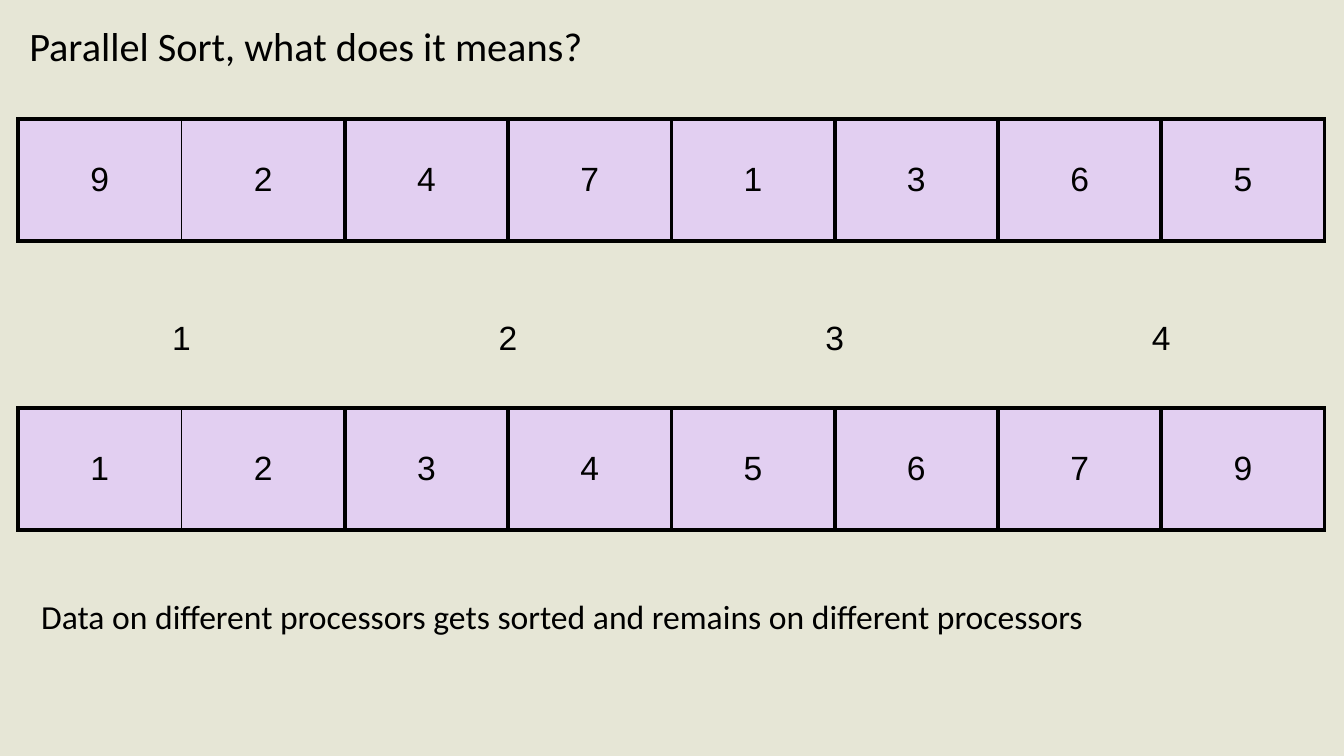
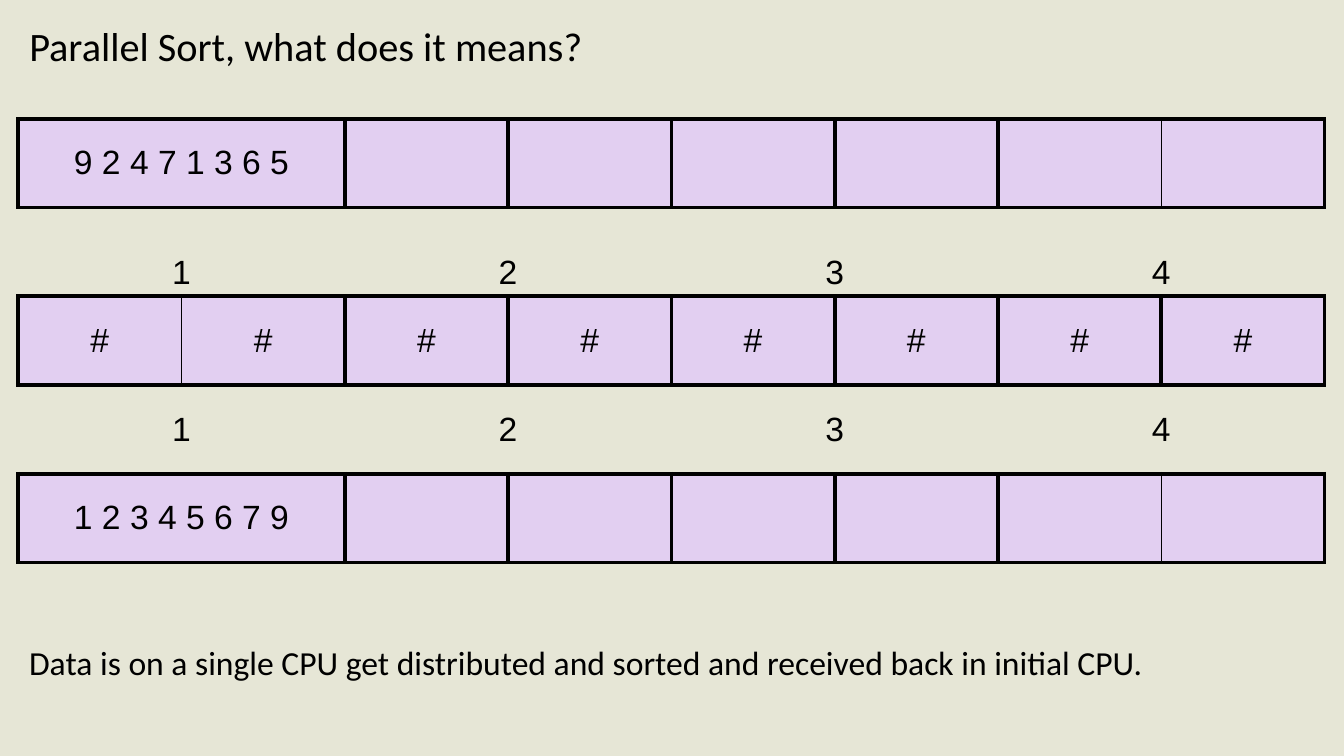
from dataclasses import dataclass

from lxml.etree import SubElement
from pptx import Presentation
from pptx.dml.color import RGBColor
from pptx.enum.text import MSO_ANCHOR, MSO_AUTO_SIZE, PP_ALIGN
from pptx.oxml.ns import qn
from pptx.util import Pt

EMU_PER_PX = 9144
SLIDE_SIZE = (1333, 750)
COLUMN_COUNT = 8
COLUMN_WIDTH = 162
TABLE_LEFT, TABLE_TOP = 18, 118
THICK, THIN = 3, 1

BACKGROUND = RGBColor(0xE6, 0xE6, 0xD6)
LILAC = RGBColor(0xE2, 0xCF, 0xF1)
BLACK = RGBColor(0, 0, 0)

TITLE_FONT = {"name": "Calibri", "size": Pt(28.8)}
CAPTION_FONT = {"name": "Calibri", "size": Pt(24)}
CELL_FONT = {"name": "Arial", "size": Pt(24)}

TITLE = "Parallel Sort, what does it means?"


def px(length):
    return length * EMU_PER_PX


@dataclass
class Row:
    """A table row; thin_edge is the column boundary drawn with a fine line."""
    texts: tuple
    height: int
    spans: tuple = (1,) * COLUMN_COUNT
    is_data: bool = True
    anchor: MSO_ANCHOR = MSO_ANCHOR.MIDDLE
    thin_edge: int = 1


def processor_row(height, anchor):
    return Row(("1", "2", "3", "4"), height, (2,) * 4, False, anchor)


def single_processor_row(text, height):
    """A row whose first processor holds all the data."""
    return Row((text,) + ("",) * 6, height, (2,) + (1,) * 6, thin_edge=7)


class Deck:
    def __init__(self):
        self.presentation = Presentation()
        self.presentation.slide_width, self.presentation.slide_height = map(px, SLIDE_SIZE)
        background = self.presentation.slide_master.background.fill
        background.solid()
        background.fore_color.rgb = BACKGROUND
        self.slide = None

    def add_slide(self, title):
        layout = self.presentation.slide_layouts.get_by_name("Title Only")
        self.slide = self.presentation.slides.add_slide(layout)
        shape = self.slide.shapes.title
        shape.left, shape.top, shape.width, shape.height = map(px, (19, 20, 1296, 57))
        self.set_text(shape.text_frame, title, TITLE_FONT, line_spacing=0.9)
        frame_format = {"word_wrap": True, "auto_size": MSO_AUTO_SIZE.NONE,
                        "vertical_anchor": MSO_ANCHOR.MIDDLE}
        for name, value in frame_format.items():
            setattr(shape.text_frame, name, value)

    def set_text(self, frame, text, font_format, **paragraph_format):
        paragraph = frame.paragraphs[0]
        for name, value in ({"alignment": PP_ALIGN.LEFT} | paragraph_format).items():
            setattr(paragraph, name, value)
        run = paragraph.add_run()
        run.text = text
        for name, value in font_format.items():
            setattr(run.font, name, value)
        run.font.color.rgb = BLACK

    def add_caption(self, text, left, top):
        box = self.slide.shapes.add_textbox(*map(px, (left, top, 1231, 50)))
        box.text_frame.word_wrap = True
        self.set_text(box.text_frame, text, CAPTION_FONT)

    def add_table(self, rows):
        width, height = COLUMN_COUNT * COLUMN_WIDTH, sum(row.height for row in rows)
        frame = self.slide.shapes.add_table(
            len(rows), COLUMN_COUNT, *map(px, (TABLE_LEFT, TABLE_TOP, width, height)))
        table = frame.table
        table.first_row = table.horz_banding = False
        for column in table.columns:
            column.width = px(COLUMN_WIDTH)
        for index, row in enumerate(rows):
            table.rows[index].height = px(row.height)
            above = row.is_data or (index > 0 and rows[index - 1].is_data)
            below = row.is_data or (index + 1 < len(rows) and rows[index + 1].is_data)
            for column in range(COLUMN_COUNT):
                self.style_cell(table.cell(index, column), row, column, above, below)
            self.fill_row(table, index, row)

    def style_cell(self, cell, row, column, above, below):
        def side(edge):
            return (THIN if edge == row.thin_edge else THICK) if row.is_data else 0

        self.set_borders(cell, {"a:lnL": side(column), "a:lnR": side(column + 1),
                                "a:lnT": THICK * above, "a:lnB": THICK * below})
        cell.fill.solid()
        cell.fill.fore_color.rgb = LILAC if row.is_data else BACKGROUND
        cell.vertical_anchor = row.anchor

    def set_borders(self, cell, widths):
        properties = cell._tc.get_or_add_tcPr()
        for tag, width in widths.items():
            line = SubElement(properties, qn(tag), w=str(int(Pt(width))))
            if width:
                fill = SubElement(line, qn("a:solidFill"))
                SubElement(fill, qn("a:srgbClr"), val=str(BLACK))
            else:
                SubElement(line, qn("a:noFill"))

    def fill_row(self, table, index, row):
        column = 0
        for text, span in zip(row.texts, row.spans):
            cell = table.cell(index, column)
            if span > 1:
                cell.merge(table.cell(index, column + span - 1))
            if text:
                self.set_text(cell.text_frame, text, CELL_FONT, alignment=PP_ALIGN.CENTER)
            column += span


def main():
    deck = Deck()

    deck.add_slide(TITLE)
    deck.add_table([
        Row(tuple("92471365"), 121),
        processor_row(121, MSO_ANCHOR.BOTTOM),
        Row(("",) * COLUMN_COUNT, 45, is_data=False),
        Row(tuple("12345679"), 121),
    ])
    deck.add_caption(
        "Data on different processors gets sorted and remains on different processors", 31, 586)

    deck.add_slide(TITLE)
    deck.add_table([
        single_processor_row("9 2 4 7 1 3 6 5", 88),
        processor_row(88, MSO_ANCHOR.BOTTOM),
        Row(("#",) * COLUMN_COUNT, 88),
        processor_row(88, MSO_ANCHOR.MIDDLE),
        single_processor_row("1 2 3 4 5 6 7 9", 88),
    ])
    deck.add_caption(
        "Data is on a single CPU get distributed and sorted and received back in initial CPU.",
        19, 632)

    deck.presentation.save("out.pptx")


if __name__ == "__main__":
    main()
